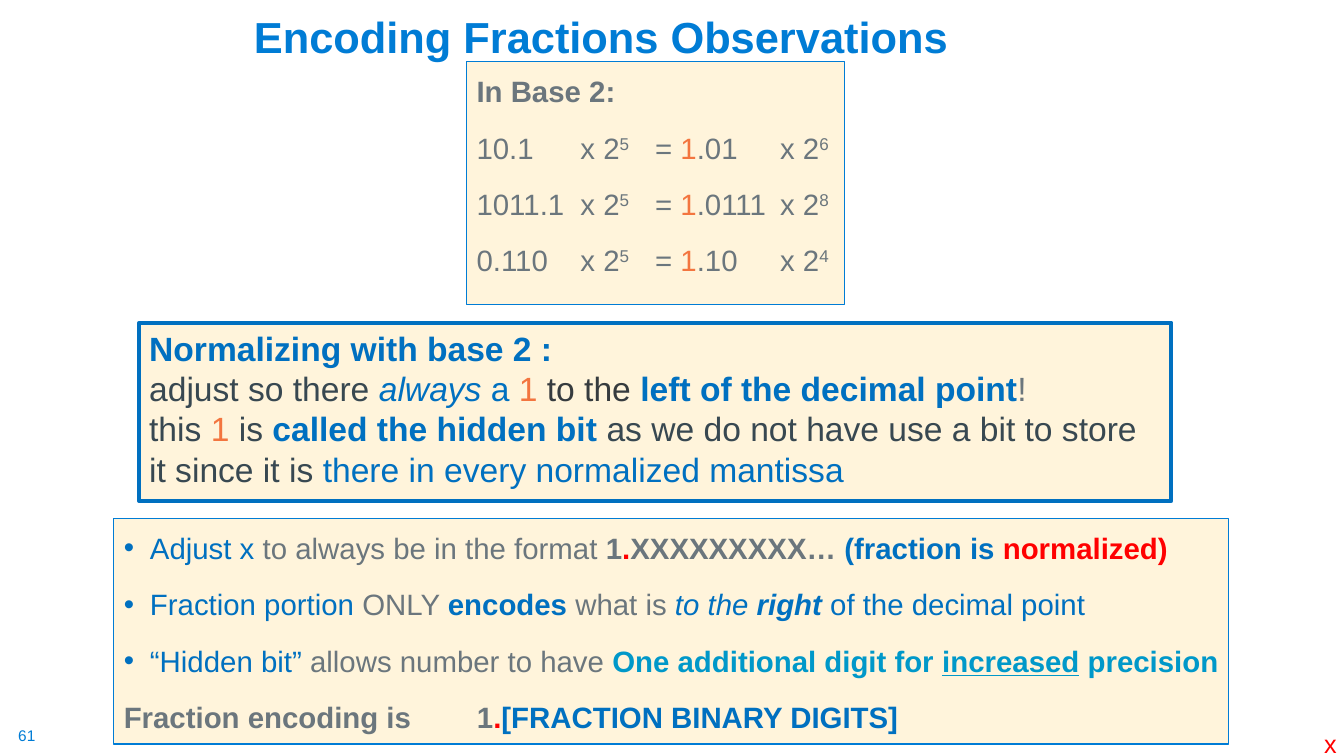
from lxml import etree
from pptx import Presentation
from pptx.dml.color import RGBColor
from pptx.enum import shapes, text
from pptx.oxml import ns
from pptx.util import Cm, Pt

SKY = RGBColor(0x00, 0x7C, 0xD5)
BLUE = RGBColor(0x00, 0x70, 0xC0)
TEAL = RGBColor(0x00, 0x98, 0xC9)
GRAY = RGBColor(0x6B, 0x76, 0x7D)
SLATE = RGBColor(0x38, 0x48, 0x51)
COAL = RGBColor(0x36, 0x3B, 0x3E)
CORAL = RGBColor(0xF3, 0x75, 0x3F)
RED = RGBColor(0xFF, 0x00, 0x00)
CREAM = RGBColor(0xFF, 0xF4, 0xDB)

SUMS = [
    ("10.1", "5", ".01", "6"),
    ("1011.1", "5", ".0111", "8"),
    ("0.110", "5", ".10", "4"),
]
NORM = [
    [("Normalizing with base 2 :", BLUE, "b")],
    [("adjust so there ", SLATE, ""), ("always", BLUE, "i"), (" a ", BLUE, ""),
     ("1 ", CORAL, ""), ("to the ", COAL, ""),
     ("left of the decimal point", BLUE, "b"), ("!", GRAY, "")],
    [("this ", SLATE, ""), ("1 ", CORAL, ""), ("is ", SLATE, ""),
     ("called the hidden bit", BLUE, "b"),
     (" as we do not have use a bit to store it since it is ", SLATE, ""),
     ("there in every normalized mantissa", BLUE, "")],
]
FACTS = [
    [("Adjust x ", BLUE, ""), ("to always be in the format ", GRAY, ""),
     ("1", GRAY, "b"), (".", RED, "b"), ("XXXXXXXXX… ", GRAY, "b"),
     ("(fraction is ", BLUE, "b"), ("normalized)", RED, "b")],
    [("Fraction portion ", BLUE, ""), ("ONLY ", GRAY, ""),
     ("encodes", BLUE, "b"), (" what is ", GRAY, ""), ("to the", BLUE, "i"),
     (" right ", BLUE, "bi"), ("of the decimal point", BLUE, "")],
    [("“Hidden bit” ", BLUE, ""), ("allows number to have ", GRAY, ""),
     ("One additional digit for ", TEAL, "b"), ("increased", TEAL, "bu"),
     (" precision", TEAL, "b")],
]
CODE = [("Fraction encoding is\t1", GRAY, "b"), (".", RED, "b"),
        ("[FRACTION BINARY DIGITS]", BLUE, "b")]


def add_runs(para, parts, size):
    for words, color, style in parts:
        run = para.add_run()
        run.text = words
        font = run.font
        font.name, font.size = "Arial", Pt(size)
        font.color.rgb = color
        font.bold = "b" in style
        font.italic = "i" in style
        font.underline = "u" in style
        if "^" in style:
            run._r.get_or_add_rPr().set("baseline", "30000")


def fill_frame(frame, rows, size):
    for i, parts in enumerate(rows):
        para = frame.paragraphs[0] if i == 0 else frame.add_paragraph()
        para.alignment = text.PP_ALIGN.LEFT
        add_runs(para, parts, size)


def add_label(slide, area, words, color, size, style=""):
    frame = slide.shapes.add_textbox(*map(Cm, area)).text_frame
    frame.word_wrap = False
    fill_frame(frame, [[(words, color, style)]], size)
    return frame


def add_panel(slide, area, rows, size, edge, width):
    panel = slide.shapes.add_shape(shapes.MSO_SHAPE.RECTANGLE, *map(Cm, area))
    panel.shadow.inherit = False
    panel.fill.solid()
    panel.fill.fore_color.rgb = CREAM
    panel.line.color.rgb = edge
    panel.line.width = Pt(width)
    frame = panel.text_frame
    frame.word_wrap = True
    frame.vertical_anchor = text.MSO_ANCHOR.TOP
    fill_frame(frame, rows, size)
    return frame.paragraphs


def space_out(paras):
    for i, para in enumerate(paras):
        para.line_spacing = 1.2
        para.space_before = Pt(10 if i else 0)


def add_bullet(para):
    props = para._p.get_or_add_pPr()
    props.set("marL", str(Cm(0.66)))
    props.set("indent", str(-Cm(0.66)))
    etree.SubElement(props, ns.qn("a:buFont")).set("typeface", "Arial")
    etree.SubElement(props, ns.qn("a:buChar")).set("char", "•")


def add_tabs(para, stops):
    tabs = etree.SubElement(para._p.get_or_add_pPr(), ns.qn("a:tabLst"))
    for stop in stops:
        tab = etree.SubElement(tabs, ns.qn("a:tab"))
        tab.set("pos", str(Cm(stop)))
        tab.set("algn", "l")


def sum_row(start, power, digits, result):
    return [(f"{start}\tx 2", GRAY, ""), (power, GRAY, "^"), ("\t= ", GRAY, ""),
            ("1", CORAL, ""), (f"{digits}\tx 2", GRAY, ""), (result, GRAY, "^")]


def main():
    deck = Presentation()
    deck.slide_width, deck.slide_height = Cm(33.87), Cm(19.05)
    slide = deck.slides.add_slide(deck.slide_layouts[6])

    number = add_label(slide, (0.46, 18.31, 0.48, 0.48), "61", SKY, 11)
    number.margin_left = number.margin_right = 0
    number.margin_top = number.margin_bottom = 0

    title = add_label(slide, (6.15, 0.23, 18.42, 1.47),
                      "Encoding Fractions Observations", SKY, 31, "b")
    title.word_wrap = True
    title.vertical_anchor = text.MSO_ANCHOR.BOTTOM
    title.paragraphs[0].line_spacing = 0.9

    rows = [[("In Base 2:", GRAY, "b")]] + [sum_row(*item) for item in SUMS]
    paras = add_panel(slide, (11.76, 1.55, 9.53, 6.12), rows, 21, SKY, 0.75)
    space_out(paras)
    for para in paras[1:]:
        add_tabs(para, (2.62, 4.5, 7.65))

    add_panel(slide, (3.51, 8.13, 26.01, 4.5), NORM, 24, BLUE, 2.75)

    paras = add_panel(slide, (2.87, 13.06, 28.09, 5.69), FACTS + [CODE], 21, SKY, 0.75)
    space_out(paras)
    for para in paras[:-1]:
        add_bullet(para)
    add_tabs(paras[-1], (8.9,))

    add_label(slide, (33.12, 18.24, 0.84, 1.02), "x", RED, 18)
    deck.save("out.pptx")


if __name__ == "__main__":
    main()
